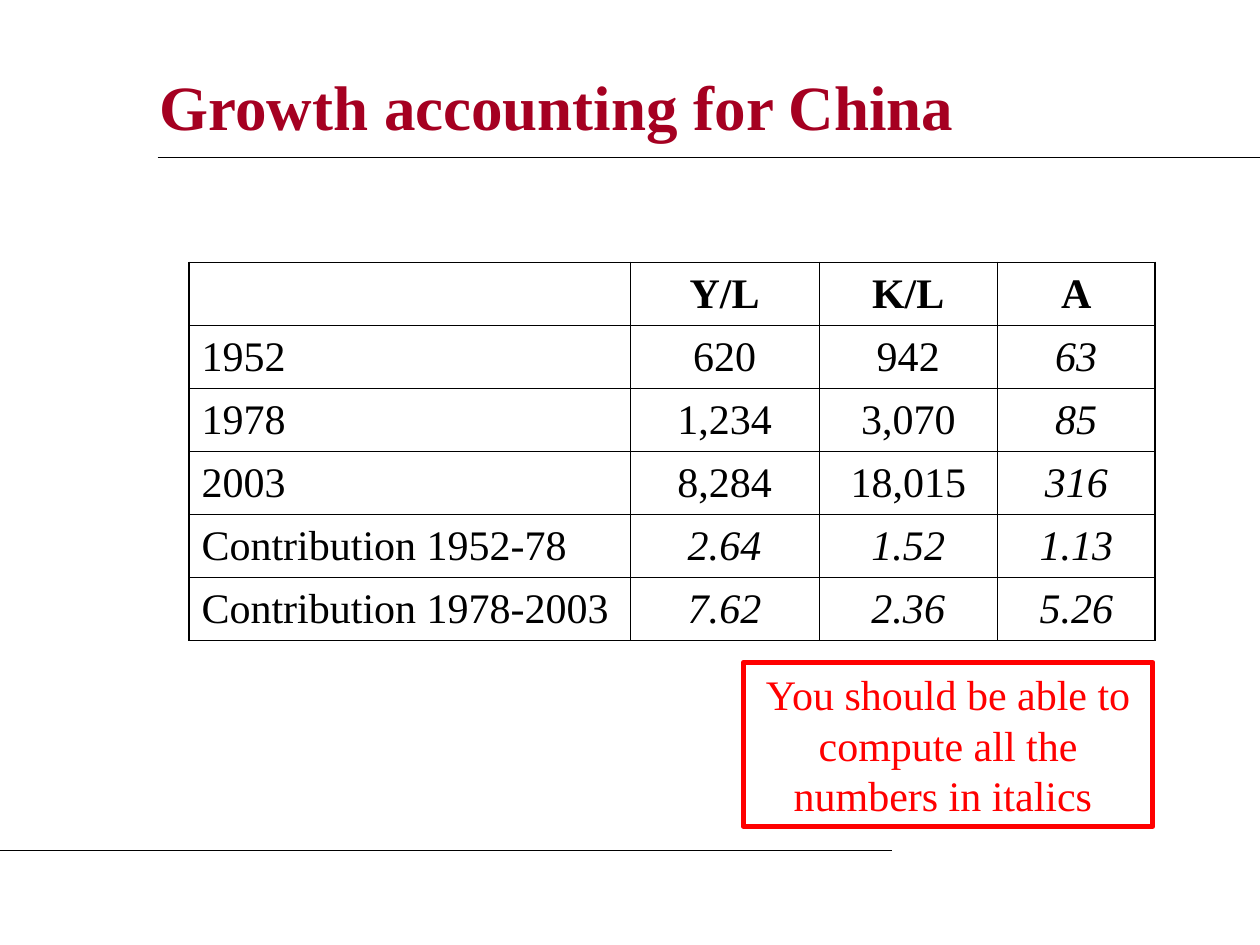
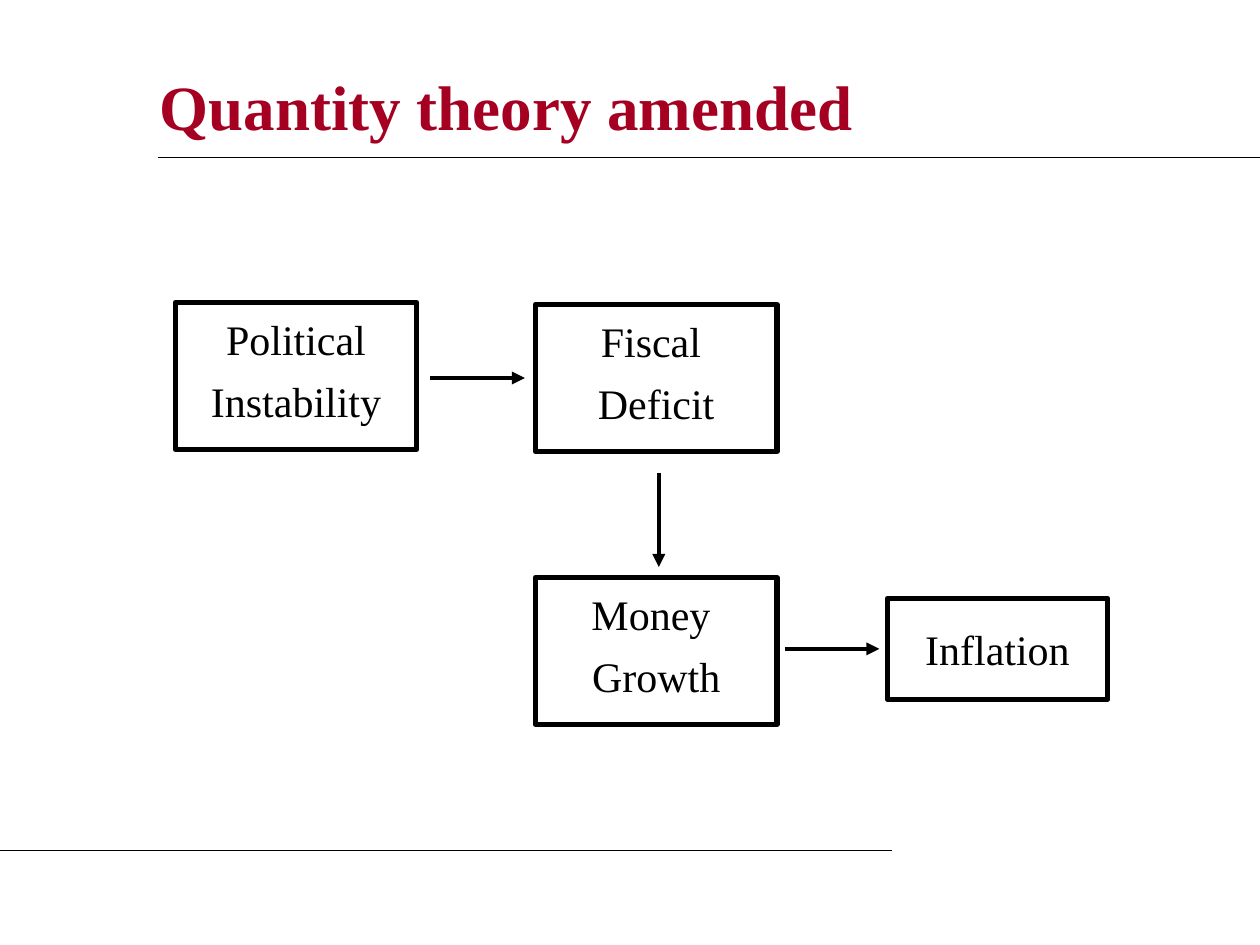
from lxml.etree import SubElement
from pptx import Presentation
from pptx.dml.color import RGBColor
from pptx.enum.shapes import MSO_CONNECTOR, MSO_SHAPE
from pptx.enum.text import MSO_ANCHOR, MSO_AUTO_SIZE, PP_ALIGN
from pptx.oxml.ns import qn
from pptx.util import Inches, Pt

COLS, ROWS = 120, 90  # a square grid, twelve units to the inch
BLACK, WHITE, CRIMSON, RED = "000000", "FFFFFF", "A50021", "FF0000"
FONT = "Times New Roman"


def rgb(hex_colour):
    return RGBColor.from_string(hex_colour)


def write(tf, text, size=24, color=BLACK, bold=False, italic=False,
          align=PP_ALIGN.CENTER, anchor=MSO_ANCHOR.TOP, spacing=None, before=0):
    """Fill a text frame, one paragraph for each line of text."""
    tf.word_wrap = True
    tf.vertical_anchor = anchor
    for i, line in enumerate(text.split("\n")):
        p = tf.add_paragraph() if i else tf.paragraphs[0]
        p.alignment = align
        p.line_spacing = spacing
        p.space_before = Pt(before if i else 0)
        r = p.add_run()
        r.text = line
        f = r.font
        f.name, f.size, f.bold, f.italic = FONT, Pt(size), bold, italic
        f.color.rgb = rgb(color)


class Deck:
    """The presentation's style and the slide being built."""

    def __init__(self):
        self.prs = Presentation()
        self.prs.slide_width, self.prs.slide_height = Inches(10), Inches(7.5)
        self.s = None

    def x(self, cols):
        return round(self.prs.slide_width * cols / COLS)

    def y(self, rows):
        return round(self.prs.slide_height * rows / ROWS)

    def area(self, left, top, width, height):
        return self.x(left), self.y(top), self.x(width), self.y(height)

    def slide(self, title):
        """Start a slide with its title and the two rules."""
        self.s = self.prs.slides.add_slide(self.prs.slide_layouts[5])
        self.s.background.fill.solid()
        self.s.background.fill.fore_color.rgb = rgb(WHITE)
        sp = self.s.shapes.title
        sp.left, sp.top, sp.width, sp.height = self.area(14, 5, 97, 10)
        sp.text_frame.auto_size = MSO_AUTO_SIZE.NONE
        write(sp.text_frame, title, size=36, color=CRIMSON, bold=True,
              align=PP_ALIGN.LEFT, anchor=MSO_ANCHOR.MIDDLE)
        self.line(15, 15, COLS, 15)
        self.line(0, 81, 85, 81)

    def line(self, x1, y1, x2, y2, width=0.75, arrow=False):
        sp = self.s.shapes.add_connector(
            MSO_CONNECTOR.STRAIGHT, self.x(x1), self.y(y1), self.x(x2), self.y(y2))
        sp.line.width = Pt(width)
        sp.line.color.rgb = rgb(BLACK)
        if arrow:
            SubElement(sp.line._get_or_add_ln(), qn("a:tailEnd"), type="triangle")
        SubElement(sp._element.spPr, qn("a:effectLst"))

    def arrow(self, x1, y1, x2, y2):
        self.line(x1, y1, x2, y2, width=2.5, arrow=True)

    def box(self, text, left, top, width, height, color=BLACK,
            inset_x=0.2, inset_y=0.2, **fmt):
        sp = self.s.shapes.add_shape(
            MSO_SHAPE.RECTANGLE, *self.area(left, top, width, height))
        sp.shadow.inherit = False
        sp.fill.background()
        sp.line.width = Pt(3)
        sp.line.color.rgb = rgb(color)
        tf = sp.text_frame
        tf.margin_left = tf.margin_right = Inches(inset_x)
        tf.margin_top = tf.margin_bottom = Inches(inset_y)
        write(tf, text, color=color, **fmt)

    def border(self, cell, side, width):
        ln = SubElement(cell._tc.get_or_add_tcPr(), qn(f"a:ln{side}"), w=str(Pt(width)))
        fill = SubElement(ln, qn("a:solidFill"))
        SubElement(fill, qn("a:srgbClr"), val=BLACK)

    def table(self, data, left, top, widths, row_height, italic):
        """Draw a ruled table; italic(row, column) picks the slanted cells."""
        n_rows, n_cols = len(data), len(widths)
        table = self.s.shapes.add_table(n_rows, n_cols, *self.area(
            left, top, sum(widths), n_rows * row_height)).table
        table.first_row = table.horz_banding = False
        for column, width in zip(table.columns, widths):
            column.width = self.x(width)
        for i, values in enumerate(data):
            table.rows[i].height = self.y(row_height)
            for j, value in enumerate(values):
                cell = table.cell(i, j)
                outer = {"L": j == 0, "R": j == n_cols - 1,
                         "T": i == 0, "B": i == n_rows - 1}
                for side, is_outer in outer.items():
                    self.border(cell, side, 1.08 if is_outer else 0.45)
                cell.fill.background()
                cell.vertical_anchor = MSO_ANCHOR.MIDDLE
                if value:
                    write(cell.text_frame, value, bold=i == 0, italic=italic(i, j),
                          align=PP_ALIGN.CENTER if j else PP_ALIGN.LEFT,
                          anchor=None)


def growth_accounting(deck):
    deck.slide("Growth accounting for China")
    data = [
        ("", "Y/L", "K/L", "A"),
        ("1952", "620", "942", "63"),
        ("1978", "1,234", "3,070", "85"),
        ("2003", "8,284", "18,015", "316"),
        ("Contribution 1952-78", "2.64", "1.52", "1.13"),
        ("Contribution 1978-2003", "7.62", "2.36", "5.26"),
    ]
    deck.table(data, 18, 25, widths=(42, 18, 17, 15), row_height=6,
               italic=lambda i, j: (i > 0 and j == 3) or (i > 3 and j > 0))
    deck.box("You should be able to compute all the numbers in italics ",
             70.8, 63.1, 39, 15.6, color=RED, inset_x=0.1, inset_y=0.05)


def quantity_theory(deck):
    deck.slide("Quantity theory amended")
    for text, left, top in (("Political\nInstability", 16.7, 28.8),
                            ("Fiscal \nDeficit", 51, 29),
                            ("Money \nGrowth", 51, 55)):
        deck.box(text, left, top, 23, 14, spacing=0.7, before=15)
    deck.box("Inflation", 84.5, 57, 21, 9.6)
    deck.arrow(41, 36, 50, 36)
    deck.arrow(62.75, 45, 62.75, 54)
    deck.arrow(74.75, 61.8, 83.75, 61.8)


def main():
    deck = Deck()
    growth_accounting(deck)
    quantity_theory(deck)
    deck.prs.save("out.pptx")


if __name__ == "__main__":
    main()
